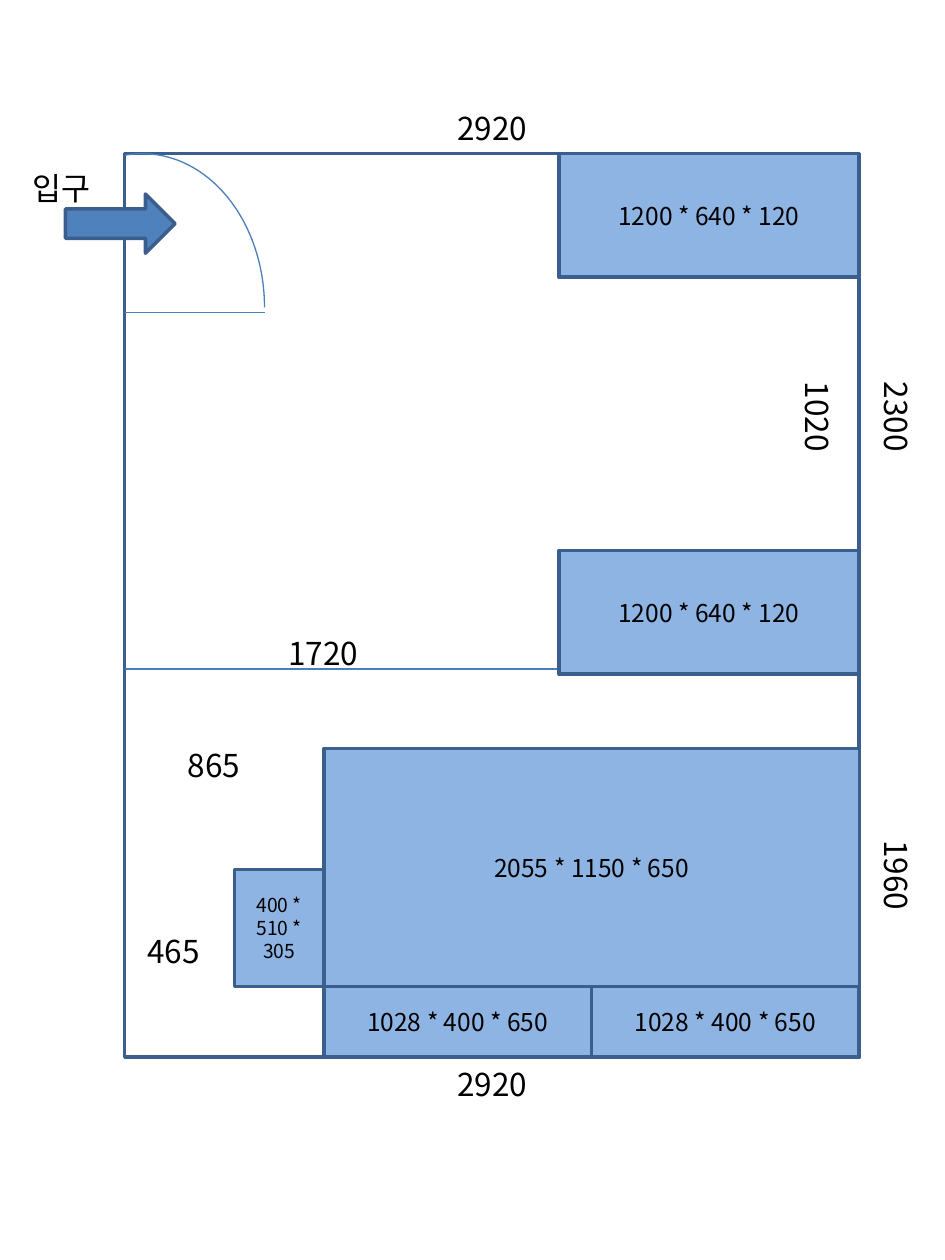
import pptx
import pptx.util
import pptx.dml.color
import pptx.enum.shapes
import pptx.enum.text
import pptx.oxml.ns
import lxml.etree

COLORS = {"wall": "3A5F8C", "thin": "4B7EBC", "arrow": "4F81BD",
          "furniture": "8EB4E3", "text": "000000"}
FONT = "Noto Sans CJK KR"
SHAPES = pptx.enum.shapes.MSO_SHAPE

# The slide is a grid of 75 columns and 100 rows
COLUMNS, ROWS = 75, 100
WIDTH, HEIGHT = pptx.util.Inches(7.5), pptx.util.Inches(10)

# Walls of the room
LEFT, TOP, RIGHT, BOTTOM = 9.9, 12.2, 68.2, 83.9


def grid(column, row):
    return round(WIDTH * column / COLUMNS), round(HEIGHT * row / ROWS)


def rgb(name):
    return pptx.dml.color.RGBColor.from_string(COLORS[name])


def write(shape, text, size=18, align="LEFT", anchor="TOP", wrap=True, vertical=False):
    frame = shape.text_frame
    frame.word_wrap = wrap
    frame.vertical_anchor = getattr(pptx.enum.text.MSO_ANCHOR, anchor)
    if vertical:
        frame._txBody.bodyPr.set("vert", "eaVert")
    paragraph = frame.paragraphs[0]
    paragraph.alignment = getattr(pptx.enum.text.PP_ALIGN, align)
    run = paragraph.add_run()
    run.text = text
    run.font.size = pptx.util.Pt(size)
    run.font.name = FONT
    run.font.color.rgb = rgb("text")
    east_asian = lxml.etree.SubElement(run.font._element, pptx.oxml.ns.qn("a:ea"))
    east_asian.set("typeface", FONT)


def add_outline(shapes, kind, left, top, width, height, fill=None, line="wall", weight=2):
    shape = shapes.add_shape(kind, *grid(left, top), *grid(width, height))
    shape.shadow.inherit = False
    if fill:
        shape.fill.solid()
        shape.fill.fore_color.rgb = rgb(fill)
    else:
        shape.fill.background()
    shape.line.color.rgb = rgb(line)
    shape.line.width = pptx.util.Pt(weight)
    return shape


def add_thin_line(shapes, left, right, row):
    line = shapes.add_connector(pptx.enum.shapes.MSO_CONNECTOR.STRAIGHT,
                                *grid(left, row), *grid(right, row))
    line.line.color.rgb = rgb("thin")
    line.line.width = pptx.util.Pt(0.75)
    lxml.etree.SubElement(line._element.spPr, pptx.oxml.ns.qn("a:effectLst"))


def add_furniture(shapes, text, left, top, width, height, size=14):
    shape = add_outline(shapes, SHAPES.RECTANGLE, left, top, width, height, "furniture")
    write(shape, text, size=size, align="CENTER", anchor="MIDDLE")


def add_label(shapes, text, left, top, width=7.6, height=4, vertical=False):
    box = shapes.add_textbox(*grid(left, top), *grid(width, height))
    write(box, text, wrap=False, vertical=vertical)
    box.text_frame.auto_size = pptx.enum.text.MSO_AUTO_SIZE.SHAPE_TO_FIT_TEXT


def add_door(shapes):
    door = shapes.add_group_shape().shapes
    add_thin_line(door, LEFT, 21, 24.8)
    swing = add_outline(door, SHAPES.ARC, 1.6, TOP, 19.4, 24.4, line="thin", weight=0.75)
    swing.adjustments[0] = 158.195
    swing.adjustments[1] = 0


def main():
    presentation = pptx.Presentation()
    presentation.slide_width, presentation.slide_height = WIDTH, HEIGHT
    slide = presentation.slides.add_slide(presentation.slide_layouts[6])
    shapes = slide.shapes

    # Room, measuring line and entrance
    add_outline(shapes, SHAPES.RECTANGLE, LEFT, TOP, RIGHT - LEFT, BOTTOM - TOP)
    add_thin_line(shapes, LEFT, RIGHT, 53.1)
    add_door(shapes)
    add_outline(shapes, SHAPES.RIGHT_ARROW, 5.2, 15.4, 8.7, 4.7, "arrow")
    add_label(shapes, "입구", 1.6, 12.9, 7.1)

    # Bed with two drawers below and a side table
    bed_left, bed_top, drawer_top = 25.7, 59.4, 78.3
    bed_width = RIGHT - bed_left
    drawer_width = bed_width / 2
    for index in range(2):
        add_furniture(shapes, "1028 * 400 * 650", bed_left + index * drawer_width,
                      drawer_top, drawer_width, BOTTOM - drawer_top)
    add_furniture(shapes, "2055 * 1150 * 650", bed_left, bed_top,
                  bed_width, drawer_top - bed_top)
    add_furniture(shapes, "400 * 510 * 305", bed_left - 7.1, drawer_top - 9.3, 7.1, 9.3, size=11)

    # Two desks along the right wall
    for top in (TOP, 43.7):
        add_furniture(shapes, "1200 * 640 * 120", RIGHT - 23.85, top, 23.85, 9.8)

    # Dimensions
    for top in (8.2, 84):
        add_label(shapes, "2920", 35.3, top)
    add_label(shapes, "1720", 21.9, 49.8)
    for text, left, top in (("865", 13.9, 58.7), ("465", 10.7, 73.5)):
        add_label(shapes, text, left, top, 6.2)
    for text, left, top in (("2300", RIGHT, 29.3), ("1960", RIGHT, 65.7), ("1020", 61.9, 29.3)):
        add_label(shapes, text, left, top, 5, 6.5, vertical=True)

    presentation.save("out.pptx")


main()
